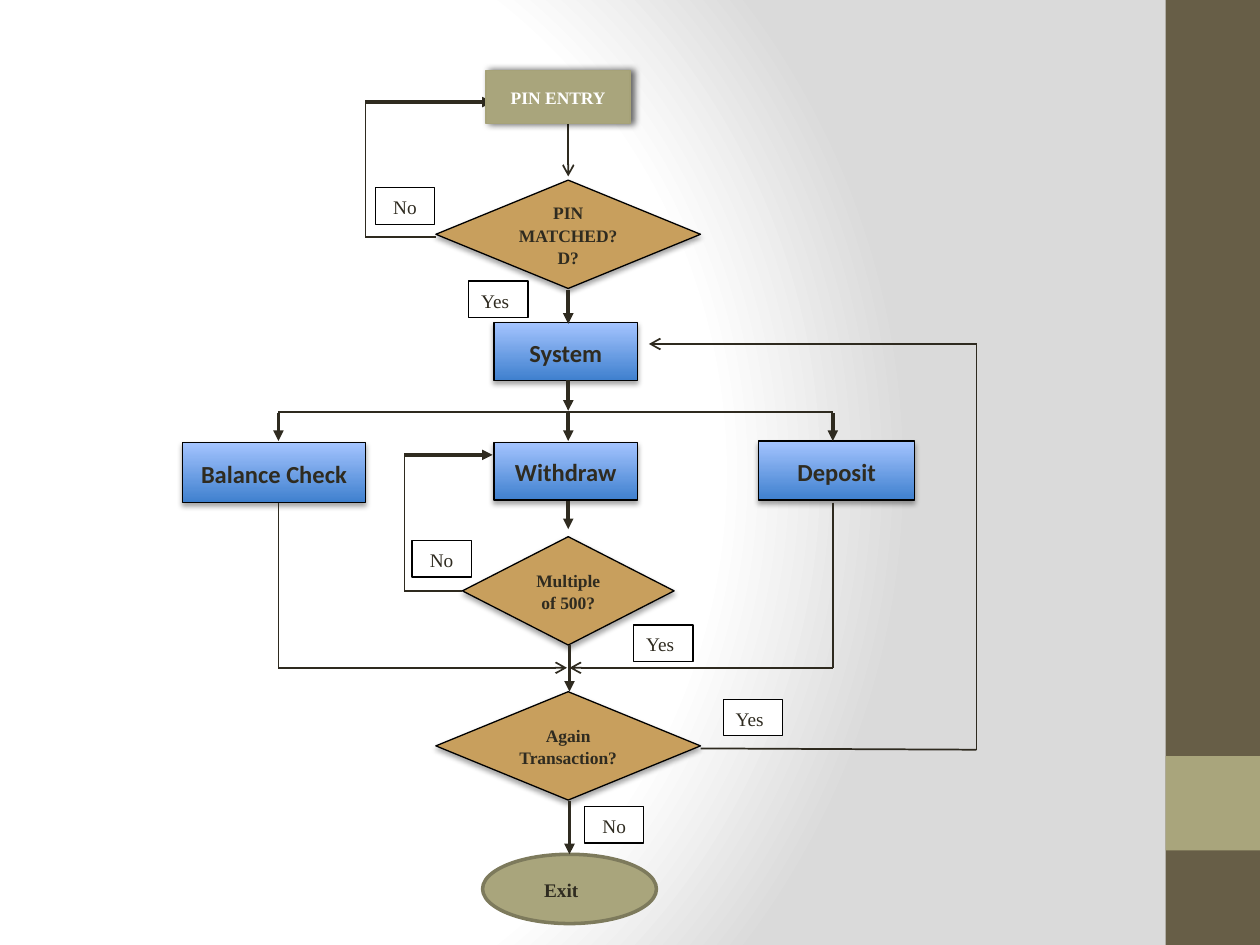
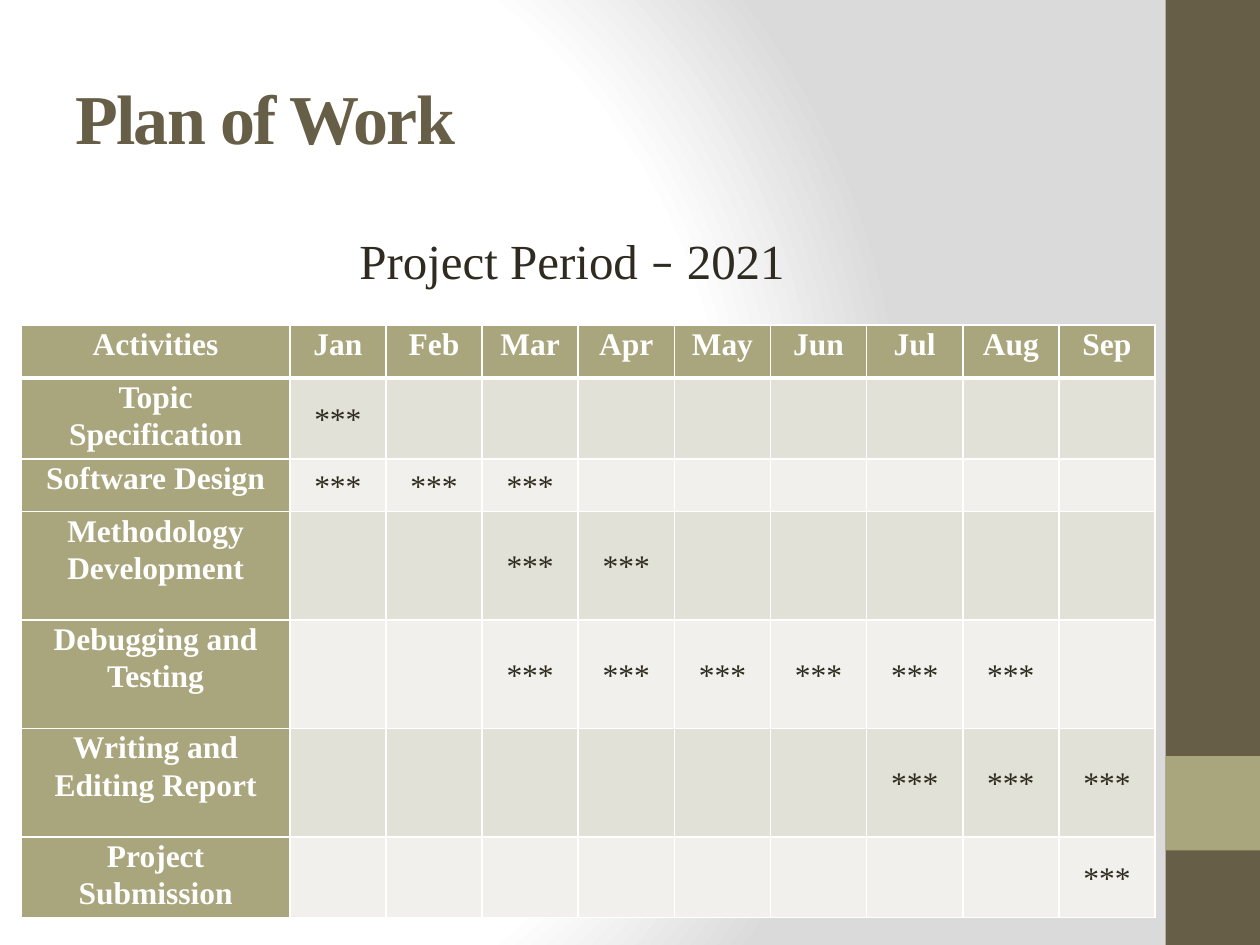
from itertools import pairwise
from pptx import Presentation
from pptx.dml.color import RGBColor
from pptx.enum.shapes import MSO_CONNECTOR, MSO_SHAPE
from pptx.enum.text import MSO_ANCHOR, PP_ALIGN
from pptx.oxml import parse_xml
from pptx.oxml.ns import nsdecls, qn
from pptx.util import Inches, Pt

RECT = MSO_SHAPE.RECTANGLE
OVAL = MSO_SHAPE.OVAL
DIAMOND = MSO_SHAPE.FLOWCHART_DECISION
STRAIGHT = MSO_CONNECTOR.STRAIGHT
LEFT, CENTER = PP_ALIGN.LEFT, PP_ALIGN.CENTER
TOP, MIDDLE = MSO_ANCHOR.TOP, MSO_ANCHOR.MIDDLE

WIDTH, HEIGHT = Inches(10), Inches(7.5)
COLS, ROWS = 100, 75
SERIF, SANS = "Times New Roman", "Calibri"
INK, THIN, BLACK, WHITE = "2F2B20", "2E2A1F", "000000", "FFFFFF"
BROWN, OLIVE, TAN = "675E47", "A9A57C", "C89F5D"
BLUES = ("3F80CE", "A4C4FF")
STRIPES = ("E2E1D7", "F1F0EC")
SOFT, SIDE = (35, 3.1, 1.8, 90), (60, 4, 2, 0)
GLOW = ((0, "FFFFFF"), (75, "FFFFFF"), (100, "DADADA"))


def tint(code):
    return RGBColor.from_string(code)


def node(tag, attrs="", inner=""):
    return parse_xml(f"<a:{tag} {nsdecls('a')} {attrs}>{inner}</a:{tag}>")


def solid(code, inner=""):
    return f'<a:srgbClr val="{code}">{inner}</a:srgbClr>'


class Deck:
    """Holds the shared style and the slide being drawn."""

    def __init__(self):
        self.show = Presentation()
        self.show.slide_width, self.show.slide_height = WIDTH, HEIGHT
        self.page = None

    def grid(self, *spans):
        units = (WIDTH / COLS, HEIGHT / ROWS)
        return [round(span * units[i % 2]) for i, span in enumerate(spans)]

    def start(self):
        self.page = self.show.slides.add_slide(self.show.slide_layouts[6])
        self.page.background.fill.gradient()
        old = self.page.element.find(".//" + qn("a:gradFill"))
        stops = "".join(f'<a:gs pos="{at * 1000}">{solid(code)}</a:gs>' for at, code in GLOW)
        rect = '<a:fillToRect l="20000" t="50000" r="100000" b="50000"/>'
        new = node("gradFill", 'rotWithShape="1"',
                   f'<a:gsLst>{stops}</a:gsLst><a:path path="circle">{rect}</a:path>')
        old.getparent().replace(old, new)
        self.shape(RECT, (92.5, 0, 7.5, ROWS), BROWN)
        self.shape(RECT, (92.5, 60, 7.5, 7.5), OLIVE)

    def shape(self, kind, box, fill, edge=None, width=0.75, shade=None):
        item = self.page.shapes.add_shape(kind, *self.grid(*box))
        item.shadow.inherit = False
        if isinstance(fill, tuple):
            item.fill.gradient()
            item.fill.gradient_angle = 90
            for stop, code in zip(item.fill.gradient_stops, fill):
                stop.color.rgb = tint(code)
        else:
            item.fill.solid()
            item.fill.fore_color.rgb = tint(fill)
        if edge:
            item.line.color.rgb = tint(edge)
            item.line.width = Pt(width)
        else:
            item.line.fill.background()
        if shade:
            alpha, blur, dist, turn = shade
            attrs = (f'blurRad="{Pt(blur)}" dist="{Pt(dist)}" dir="{turn * 60000}" '
                     'algn="ctr" rotWithShape="0"')
            shadow = node("outerShdw", attrs, solid(BLACK, f'<a:alpha val="{alpha * 1000}"/>'))
            item.element.spPr.find(qn("a:effectLst")).append(shadow)
        return item

    def letter(self, frame, runs, size, color=INK, bold=False, align=CENTER,
               anchor=MIDDLE, lead=1.07, after=8, track=0):
        frame.word_wrap = True
        frame.vertical_anchor = anchor
        para = frame.paragraphs[0]
        para.alignment, para.line_spacing, para.space_after = align, lead, Pt(after)
        for text, face in runs:
            run = para.add_run()
            run.text = text
            font = run.font
            font.name, font.size, font.bold = face, Pt(size), bold
            font.color.rgb = tint(color)
            if track:
                run._r.get_or_add_rPr().set("spc", str(track * 100))

    def text(self, box, runs, size, **style):
        item = self.page.shapes.add_textbox(*self.grid(*box))
        self.letter(item.text_frame, runs, size, **style)

    def step(self, text, box):
        item = self.shape(RECT, box, BLUES, BLACK, shade=SOFT)
        self.letter(item.text_frame, [(text, SANS)], 14, bold=True)

    def choice(self, text, x, y, width):
        item = self.shape(DIAMOND, (x - width / 2, y, width, 8.6), TAN, BLACK, shade=SOFT)
        self.letter(item.text_frame, [(text, SERIF)], 10, bold=True)

    def label(self, text, x, y):
        item = self.shape(RECT, (x, y, 4.7, 2.9), WHITE, BLACK)
        align = CENTER if text == "No" else LEFT
        self.letter(item.text_frame, [(text, SERIF)], 11, align=align, anchor=TOP)

    def route(self, *points, head=None):
        for start, end in pairwise(points):
            line = self.page.shapes.add_connector(STRAIGHT, *self.grid(*start, *end))
            tip = head if end == points[-1] else None
            thick = tip == "triangle"
            line.line.color.rgb = tint(INK if thick else THIN)
            line.line.width = Pt(2 if thick else 1)
            props = line.element.spPr
            if tip:
                props.find(qn("a:ln")).append(node("tailEnd", f'type="{tip}"'))
            props.append(node("effectLst"))

    def cell(self, cell, text, fill, head, under):
        cell.fill.solid()
        cell.fill.fore_color.rgb = tint(fill)
        props = cell._tc.get_or_add_tcPr()
        for i, side in enumerate("LRTB"):
            width = Pt(under if side == "B" else 1)
            inner = f"<a:solidFill>{solid(WHITE)}</a:solidFill>"
            props.insert(i, node("ln" + side, f'w="{width}"', inner))
        if text:
            cell.margin_left = cell.margin_right = Inches(0.07)
            cell.margin_top = cell.margin_bottom = 0
            self.letter(cell.text_frame, [(text, SERIF)], 18, WHITE if head else INK,
                        bold=head, after=0)
            cell.vertical_anchor = TOP if head else MIDDLE

    def table(self, box, widths, heights, data):
        frame = self.page.shapes.add_table(len(data), len(data[0]), *self.grid(*box))
        for col, width in zip(frame.table.columns, widths):
            col.width = self.grid(width)[0]
        for row, height in zip(frame.table.rows, heights):
            row.height = self.grid(0, height)[1]
        for r, line in enumerate(data):
            for c, text in enumerate(line):
                head = r == 0 or c == 0
                fill = OLIVE if head else STRIPES[(r - 1) % 2]
                self.cell(frame.table.cell(r, c), text, fill, head, 1 if r else 3)


def flow(deck):
    deck.start()
    left, mid, right = 22.1, 45.1, 66.1
    deck.step("Balance Check", (14.5, 35.1, 14.5, 4.8))
    deck.step("Withdraw", (39.2, 35.1, 11.4, 4.6))
    deck.step("Deposit", (60.2, 35, 12.4, 4.7))
    deck.step("System", (39.2, 25.6, 11.4, 4.6))
    deck.choice("PIN MATCHED?D?", mid, 14.3, 21)
    deck.choice("Multiple of 500?", mid, 42.6, 16.8)
    deck.choice("Again Transaction?", mid, 54.9, 21)
    deck.shape(OVAL, (38.3, 67.8, 13.8, 5.5), OLIVE, "7D7A5C", 2)

    drops = [(x, 32.8, 35) for x in (left, mid, right)]
    falls = [(mid, 23, 25.7), (mid, 30.2, 32.6), (mid, 39.8, 42),
             (45.2, 51.2, 54.9), (45.2, 63.6, 67.8)]
    for x, top, end in drops + falls:
        deck.route((x, top), (x, end), head="triangle")
    deck.route((mid, 9.8), (mid, 14), head="arrow")
    deck.route((left, 32.7), (right, 32.7))
    for x, end in ((left, 45), (right, 45.2)):
        deck.route((x, 39.9), (x, 53), (end, 53), head="arrow")
    for start, x, low, high in ((34.6, 29, 18.8, 8.1), (36.7, 32.1, 46.9, 36.1)):
        deck.route((start, low), (x, low), (x, high), (39.1, high), head="triangle")
    deck.route((55.6, 59.4), (77.5, 59.5), (77.5, 27.3), (51.5, 27.3), head="arrow")

    for x, y in ((57.4, 55.5), (50.3, 49.6), (37.2, 22.3)):
        deck.label("Yes", x, y)
    for x, y in ((29.8, 14.9), (32.7, 42.9), (46.4, 64)):
        deck.label("No", x, y)
    deck.text((42.2, 69.1, 5.6, 2.9), [("Exit", SERIF)], 11, bold=True, align=LEFT, anchor=TOP)
    entry = deck.shape(RECT, (38.6, 5.6, 11.4, 4.2), OLIVE, "A6A278", 1, SIDE)
    deck.letter(entry.text_frame, [("PIN ENTRY", SERIF)], 10, WHITE, bold=True)


def plan(deck):
    deck.start()
    deck.text((5, 3, 83.3, 12.5), [("Plan of Work", SERIF)], 40, color=BROWN, bold=True,
              align=LEFT, lead=1, after=0, track=-1)
    months = "Jan Feb Mar Apr May Jun Jul Aug Sep".split()
    tasks = (("Topic Specification", 1, 1), ("Software Design", 1, 3),
             ("Methodology Development", 3, 4), ("Debugging and Testing", 3, 8),
             ("Writing and Editing Report", 7, 9), ("Project Submission", 9, 9))
    data = [["Activities", *months]]
    for name, first, last in tasks:
        marks = ["***" if first <= m <= last else "" for m in range(1, len(months) + 1)]
        data.append([name, *marks])
    widths = [21.3] + [7.63] * len(months)
    heights = [4.2] * 3 + [8.6] * 3 + [4.2]
    deck.table((1.7, 25.8, sum(widths), sum(heights)), widths, heights, data)
    deck.text((25.8, 17.8, 39.2, 5.7),
              [("Project Period ", SERIF), ("–", SANS), (" 2021", SERIF)], 28, lead=1, after=0)


deck = Deck()
flow(deck)
plan(deck)
deck.show.save("out.pptx")
